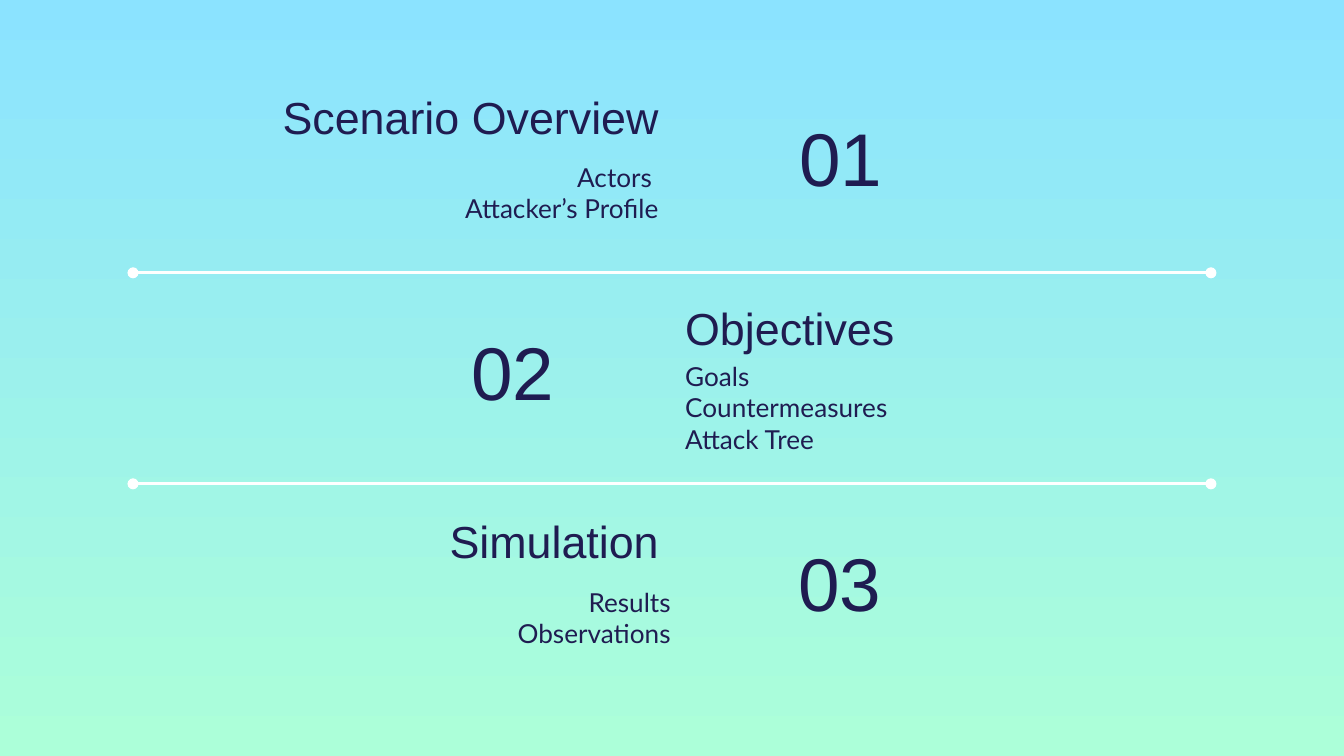
from lxml.etree import SubElement
from pptx import Presentation
from pptx.dml.color import RGBColor
from pptx.enum.shapes import MSO_CONNECTOR
from pptx.enum.text import MSO_ANCHOR, MSO_AUTO_SIZE, PP_ALIGN
from pptx.oxml.ns import qn
from pptx.util import Inches, Pt

COLORS = {"ink": "1F1C51", "line": "FFFFFF", "top": "8BE3FF", "bottom": "ACFFD9"}

# Each section: heading, topics, number, alignment, then the three boxes
# as left, top, width, height in inches.
SECTIONS = [
    ("Scenario Overview", ["Actors ", "Attacker’s Profile"], "01", PP_ALIGN.RIGHT,
     (0.63, 0.67, 4.37, 0.5), (0.63, 1.1, 4.37, 0.69), (5.85, 0.73, 0.83, 0.87)),
    ("Objectives", ["Goals", "Countermeasures", "Attack Tree"], "02", PP_ALIGN.LEFT,
     (5, 2.14, 4.37, 0.6), (5, 2.58, 4.37, 0.8), (3.41, 2.32, 0.84, 0.87)),
    ("Simulation", ["Results", "Observations"], "03", PP_ALIGN.RIGHT,
     (0.63, 3.82, 4.37, 0.5), (0.63, 4.26, 4.46, 0.69), (5.84, 3.89, 0.84, 0.87)),
]
DIVIDER_TOPS = [2.03, 3.6]


def color(name):
    """Return the named colour."""
    return RGBColor.from_string(COLORS[name])


def set_background(slide):
    """Fill the slide with a gradient running from top to bottom."""
    fill = slide.background.fill
    fill.gradient()
    fill.gradient_angle = 270
    for stop, name in zip(fill.gradient_stops, ("top", "bottom")):
        stop.color.rgb = color(name)


def format_text(shape, lines, size, font, align, anchor):
    """Write the lines into the shape and format them alike."""
    frame = shape.text_frame
    frame.text = "\n".join(lines)
    frame.word_wrap = True
    frame.auto_size = MSO_AUTO_SIZE.NONE
    frame.vertical_anchor = anchor
    frame.margin_left = frame.margin_right = Inches(0.1)
    frame.margin_top = frame.margin_bottom = Inches(0.1)
    for paragraph in frame.paragraphs:
        paragraph.alignment = align
        for run in paragraph.runs:
            run.font.size = Pt(size)
            run.font.name = font
            run.font.color.rgb = color("ink")


def add_text(slide, box, *text_format):
    """Add a formatted text box."""
    shape = slide.shapes.add_textbox(*map(Inches, box))
    format_text(shape, *text_format)


def place_title(slide, box, *text_format):
    """Move and format the title placeholder."""
    title = slide.shapes.title
    title.left, title.top, title.width, title.height = map(Inches, box)
    format_text(title, *text_format)


def add_section(slide, section, add_heading):
    """Add a heading, its topics and its number."""
    heading, topics, number, align, heading_box, topics_box, number_box = section
    add_heading(slide, heading_box, [heading], 24, "Arial", align, MSO_ANCHOR.BOTTOM)
    add_text(slide, topics_box, topics, 14, "Lato", align, MSO_ANCHOR.TOP)
    add_text(slide, number_box, [number], 40, "Arial", PP_ALIGN.LEFT, MSO_ANCHOR.BOTTOM)


def add_divider(slide, top):
    """Add a horizontal line with a dot at each end."""
    divider = slide.shapes.add_connector(
        MSO_CONNECTOR.STRAIGHT, Inches(0.99), Inches(top), Inches(9.01), Inches(top))
    divider.line.color.rgb = color("line")
    divider.line.width = Pt(1.5)
    outline = divider.line._get_or_add_ln()
    for end in ("a:headEnd", "a:tailEnd"):
        SubElement(outline, qn(end), type="oval")
    SubElement(divider._element.spPr, qn("a:effectLst"))


def main():
    """Build the agenda slide in 16:9 format."""
    presentation = Presentation()
    presentation.slide_width = Inches(10)
    presentation.slide_height = Inches(10) * 9 // 16
    slide = presentation.slides.add_slide(presentation.slide_layouts[5])
    set_background(slide)
    for index, section in enumerate(SECTIONS):
        add_section(slide, section, add_text if index else place_title)
    for top in DIVIDER_TOPS:
        add_divider(slide, top)
    presentation.save("out.pptx")


main()
